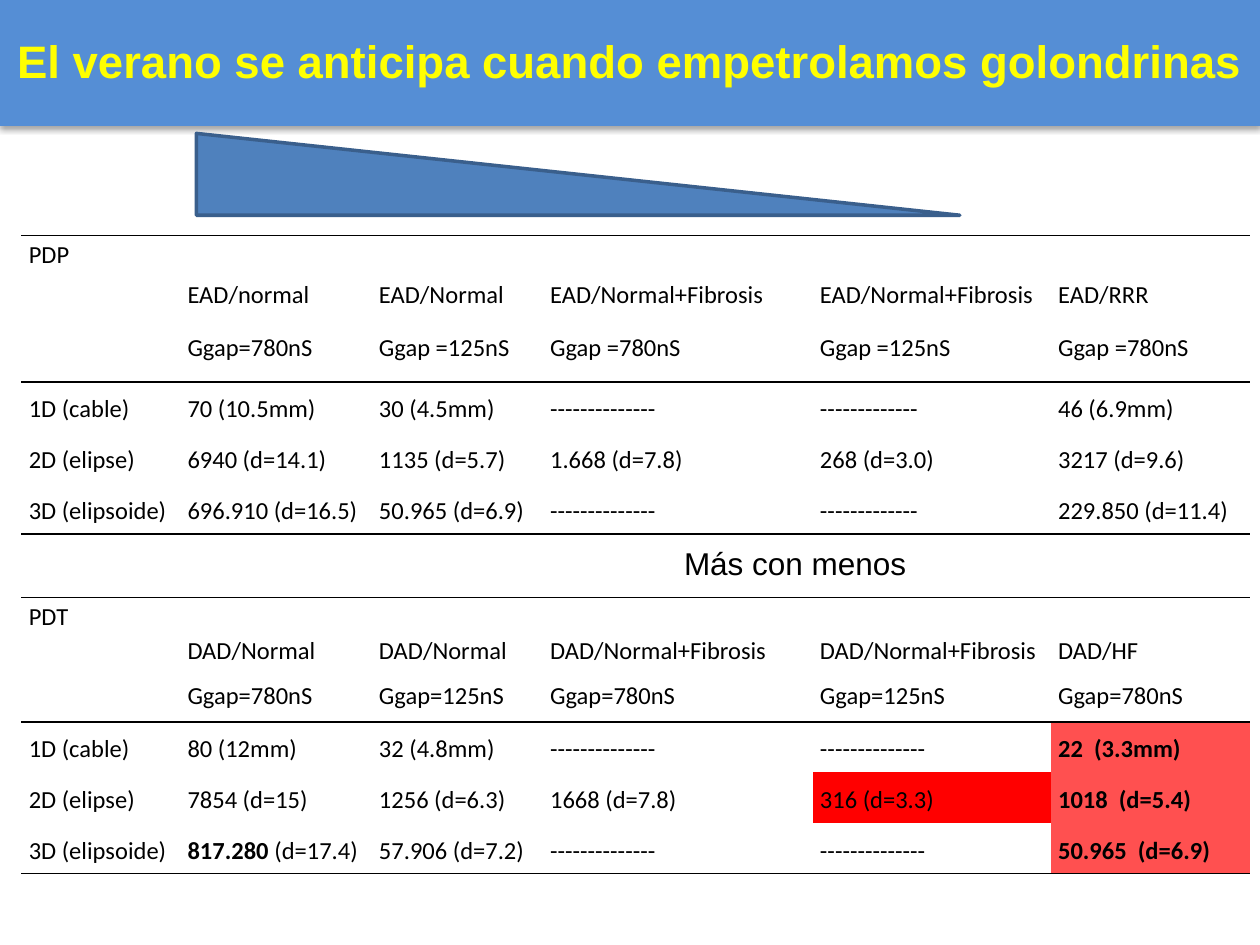
"""Build a slide comparing minimum PDP and PDT cell counts in two tables."""
from lxml.etree import SubElement
from pptx import Presentation
from pptx.dml.color import RGBColor
from pptx.enum.shapes import MSO_SHAPE
from pptx.enum.text import MSO_ANCHOR, MSO_AUTO_SIZE, PP_ALIGN
from pptx.oxml import parse_xml
from pptx.oxml.ns import nsdecls, qn
from pptx.util import Cm, Pt

COLORS = {
    "band": "558ED5", "title": "FFFF00", "wedge": "4F81BD", "edge": "3A5F8C",
    "ink": "000000", "pale_red": "FF5050", "red": "FF0000",
}
TITLE = "El verano se anticipa cuando empetrolamos golondrinas"
CAPTION = "Más con menos"
COLUMNS = [3.2, 3.86, 3.45, 5.44, 4.8, 4.01]
LEFT = 0.43
HEADER_ROWS = 3
RULED_ROWS = (2, 5)
LONG_DASH, SHORT_DASH = "-" * 14, "-" * 13
TABLES = [
    {
        "top": 4.75,
        "heights": [0.81, 1.07, 1.07, 1.02, 1.02, 1.02],
        "rows": [
            ["PDP", "", "", "", "", ""],
            ["", "EAD/normal", "EAD/Normal", "EAD/Normal+Fibrosis", "EAD/Normal+Fibrosis", "EAD/RRR"],
            ["", "Ggap=780nS", "Ggap =125nS", "Ggap =780nS", "Ggap =125nS", "Ggap =780nS"],
            ["1D (cable)", "70 (10.5mm)", "30 (4.5mm)", LONG_DASH, SHORT_DASH, "46 (6.9mm)"],
            ["2D (elipse)", "6940 (d=14.1)", "1135 (d=5.7)", "1.668 (d=7.8)", "268 (d=3.0)", "3217 (d=9.6)"],
            ["3D (elipsoide)", "696.910 (d=16.5)", "50.965 (d=6.9)", LONG_DASH, SHORT_DASH, "229.850 (d=11.4)"],
        ],
        "fills": {},
    },
    {
        "top": 12.04,
        "heights": [0.69, 0.91, 0.91, 1.02, 1.02, 1.02],
        "rows": [
            ["PDT", "", "", "", "", ""],
            ["", "DAD/Normal", "DAD/Normal", "DAD/Normal+Fibrosis", "DAD/Normal+Fibrosis", "DAD/HF"],
            ["", "Ggap=780nS", "Ggap=125nS", "Ggap=780nS", "Ggap=125nS", "Ggap=780nS"],
            ["1D (cable)", "80 (12mm)", "32 (4.8mm)", LONG_DASH, LONG_DASH, "*22  (3.3mm)*"],
            ["2D (elipse)", "7854 (d=15)", "1256 (d=6.3)", "1668 (d=7.8)", "316 (d=3.3)", "*1018  (d=5.4)*"],
            ["3D (elipsoide)", "*817.280* (d=17.4)", "57.906 (d=7.2)", LONG_DASH, LONG_DASH, "*50.965  (d=6.9)*"],
        ],
        "fills": {(3, 5): "pale_red", (4, 5): "pale_red", (5, 5): "pale_red", (4, 4): "red"},
    },
]


def color(name):
    return RGBColor.from_string(COLORS[name])


def write(frame, text, size=14, font="Calibri", ink="ink", bold=False, spacing=None, align=None):
    """Fill a text frame; parts between asterisks are bold."""
    paragraph = frame.paragraphs[0]
    paragraph.line_spacing = spacing
    paragraph.alignment = align
    for index, part in enumerate(text.split("*")):
        if part:
            span = paragraph.add_run()
            span.text = part
            span.font.size = Pt(size)
            span.font.name = font
            span.font.bold = bold or index % 2 == 1
            span.font.color.rgb = color(ink)
    if not text:
        SubElement(paragraph._p, qn("a:endParaRPr"), sz=str(size * 100))


def set_borders(cell, ruled):
    """Draw the ruled sides of a cell and clear the others."""
    for side in "LRTB":
        if side in ruled:
            paint = f'<a:solidFill><a:srgbClr val="{COLORS["ink"]}"/></a:solidFill>'
        else:
            paint = "<a:noFill/>"
        cell._tc.get_or_add_tcPr().append(
            parse_xml(f'<a:ln{side} {nsdecls("a")} w="12700">{paint}</a:ln{side}>'))


def add_results(page, top, heights, rows, fills):
    frame = page.shapes.add_table(
        len(rows), len(COLUMNS), Cm(LEFT), Cm(top), Cm(sum(COLUMNS)), Cm(sum(heights)))
    table = frame.table
    table.first_row = table.horz_banding = False
    for column, width in zip(table.columns, COLUMNS):
        column.width = Cm(width)
    for r, (row, height) in enumerate(zip(rows, heights)):
        table.rows[r].height = Cm(height)
        ruled = ("T" if r == 0 or r - 1 in RULED_ROWS else "") + ("B" if r in RULED_ROWS else "")
        for c, text in enumerate(row):
            cell = table.cell(r, c)
            cell.margin_left = cell.margin_right = Cm(0.15)
            cell.margin_top = cell.margin_bottom = 0
            cell.vertical_anchor = MSO_ANCHOR.TOP if r < HEADER_ROWS else MSO_ANCHOR.MIDDLE
            write(cell.text_frame, text, spacing=1.15)
            set_borders(cell, ruled)
            if (r, c) in fills:
                cell.fill.solid()
                cell.fill.fore_color.rgb = color(fills[r, c])
            else:
                cell.fill.background()


def add_filled(page, kind, place, fill):
    shape = page.shapes.add_shape(kind, *map(Cm, place))
    shape.shadow.inherit = False
    shape.fill.solid()
    shape.fill.fore_color.rgb = color(fill)
    return shape


def add_title(page):
    band = add_filled(page, MSO_SHAPE.RECTANGLE, (0, 0, 25.4, 2.54), "band")
    band.line.fill.background()
    effects = band._element.spPr.find(qn("a:effectLst"))
    effects.append(parse_xml(
        f'<a:outerShdw {nsdecls("a")} blurRad="39370" dist="22860" dir="5400000" rotWithShape="0">'
        f'<a:srgbClr val="{COLORS["ink"]}"><a:alpha val="35000"/></a:srgbClr></a:outerShdw>'))
    frame = band.text_frame
    frame.word_wrap = True
    frame.vertical_anchor = MSO_ANCHOR.MIDDLE
    frame.margin_left = frame.margin_right = frame.margin_top = frame.margin_bottom = 0
    write(frame, TITLE, size=26, font="Arial", ink="title", bold=True, spacing=0.97,
          align=PP_ALIGN.CENTER)


def main():
    deck = Presentation()
    deck.slide_width, deck.slide_height = Cm(25.4), Cm(19.05)
    page = deck.slides.add_slide(deck.slide_layouts[6])
    for results in TABLES:
        add_results(page, **results)
    add_title(page)
    wedge = add_filled(page, MSO_SHAPE.RIGHT_TRIANGLE, (3.96, 2.69, 15.39, 1.65), "wedge")
    wedge.line.color.rgb = color("edge")
    wedge.line.width = Pt(2)
    box = page.shapes.add_textbox(Cm(13.54), Cm(10.85), Cm(5.03), Cm(1.02))
    box.text_frame.word_wrap = False
    box.text_frame.auto_size = MSO_AUTO_SIZE.SHAPE_TO_FIT_TEXT
    write(box.text_frame, CAPTION, size=18, font="Arial")
    deck.save("out.pptx")


if __name__ == "__main__":
    main()
